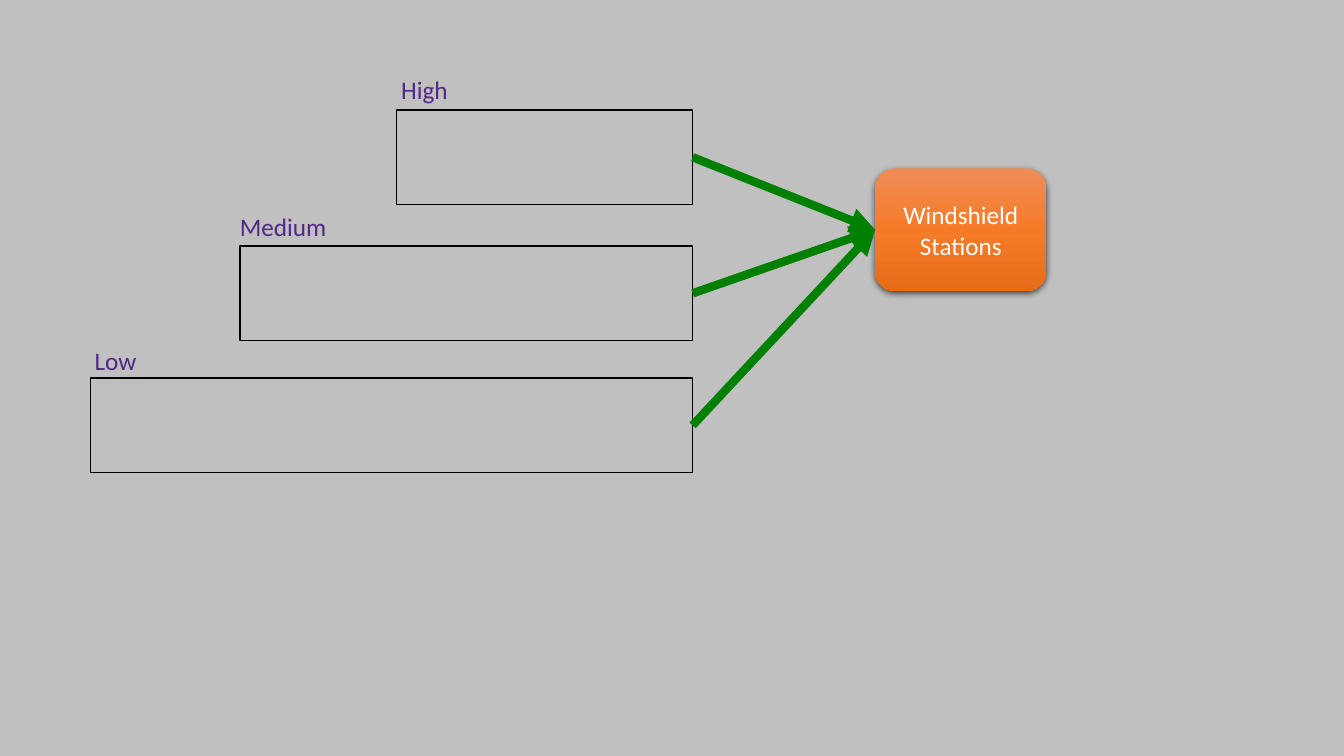
from lxml import etree
from pptx import Presentation
from pptx.dml.color import RGBColor
from pptx.enum.dml import MSO_FILL
from pptx.enum.shapes import MSO_CONNECTOR, MSO_SHAPE
from pptx.enum.text import MSO_ANCHOR, MSO_AUTO_SIZE, PP_ALIGN
from pptx.oxml import parse_xml
from pptx.oxml.ns import nsdecls, qn
from pptx.util import Inches, Pt

STRAIGHT = MSO_CONNECTOR.STRAIGHT
RECT, ROUNDED = MSO_SHAPE.RECTANGLE, MSO_SHAPE.ROUNDED_RECTANGLE
CENTER, MIDDLE = PP_ALIGN.CENTER, MSO_ANCHOR.MIDDLE
LEFT_SITE, RIGHT_SITE = 1, 3

COLORS = {"background": "C0C0C0", "bar": "BFBFBF", "outline": "000000",
          "arrow": "008000", "label": "512888", "station": "FFFFFF"}
STATION_GRADIENT = [(0, "F18C57"), (50, "F67B28"), (100, "E56C19")]
FONT, FONT_SIZE = "Calibri", 18

# label, bar left, bar top, label left, label top, label width, label wraps
LEVELS = [
    ("High", 3.93, 1.09, 3.88, 0.69, 0.67, False),
    ("Medium", 2.38, 2.44, 2.28, 2.05, 1.07, False),
    ("Low", 0.9, 3.75, 0.84, 3.38, 0.78, True),
]
BAR_RIGHT, BAR_HEIGHT, LABEL_HEIGHT = 6.87, 0.94, 0.4
STATION_TEXT = "Windshield Stations"
STATION_BOX = (8.68, 1.67, 1.7, 1.22)


def rgb(name):
    return RGBColor.from_string(COLORS[name])


def write(tf, text, color):
    tf.text = text
    font = tf.paragraphs[0].runs[0].font
    font.name, font.size = FONT, Pt(FONT_SIZE)
    font.color.rgb = rgb(color)


def add_station(slide):
    s = slide.shapes.add_shape(ROUNDED, *map(Inches, STATION_BOX))
    s.line.fill.background()
    s.fill.gradient()
    s.fill.gradient_angle = 270
    stops = s.element.spPr.find(".//" + qn("a:gsLst"))
    for stop in list(stops):
        stops.remove(stop)
    for percent, color in STATION_GRADIENT:
        stops.append(parse_xml(
            f'<a:gs {nsdecls("a")} pos="{percent * 1000}">'
            f'<a:srgbClr val="{color}"/></a:gs>'))
    s.shadow.inherit = False
    s.element.spPr.find(qn("a:effectLst")).append(parse_xml(
        f'<a:outerShdw {nsdecls("a")} blurRad="{Pt(4.5)}" dist="{Pt(1.5)}" '
        'dir="5400000" rotWithShape="0"><a:srgbClr val="000000">'
        '<a:alpha val="63000"/></a:srgbClr></a:outerShdw>'))
    tf = s.text_frame
    tf.word_wrap, tf.vertical_anchor = True, MIDDLE
    write(tf, STATION_TEXT, "station")
    tf.paragraphs[0].alignment = CENTER
    return s


def add_bar(slide, left, top):
    s = slide.shapes.add_shape(RECT, Inches(left), Inches(top),
                               Inches(BAR_RIGHT - left), Inches(BAR_HEIGHT))
    s.shadow.inherit = False
    s.fill.solid()
    s.fill.fore_color.rgb = rgb("bar")
    s.line.color.rgb = rgb("outline")
    s.line.width = Pt(1)
    return s


def add_arrow(slide, bar, station):
    c = slide.shapes.add_connector(STRAIGHT, 0, 0, 0, 0)
    c.begin_connect(bar, RIGHT_SITE)
    c.end_connect(station, LEFT_SITE)
    c.line.color.rgb = rgb("arrow")
    c.line.width = Pt(6)
    spPr = c.element.spPr
    etree.SubElement(spPr.find(qn("a:ln")), qn("a:tailEnd"), type="triangle")
    etree.SubElement(spPr, qn("a:effectLst"))


def add_label(slide, text, left, top, width, wraps):
    s = slide.shapes.add_textbox(Inches(left), Inches(top),
                                 Inches(width), Inches(LABEL_HEIGHT))
    tf = s.text_frame
    tf.word_wrap, tf.auto_size = wraps, MSO_AUTO_SIZE.SHAPE_TO_FIT_TEXT
    write(tf, text, "label")


def main():
    prs = Presentation()
    prs.slide_width, prs.slide_height = Inches(13.33), Inches(7.5)
    slide = prs.slides.add_slide(prs.slide_layouts[6])
    slide.background.fill.solid()
    slide.background.fill.fore_color.rgb = rgb("background")

    bars = [add_bar(slide, left, top) for _, left, top, *_ in LEVELS]
    station = add_station(slide)
    for bar in bars:
        add_arrow(slide, bar, station)
    for text, _, _, *place in LEVELS:
        add_label(slide, text, *place)
    prs.save("out.pptx")


if __name__ == "__main__":
    main()
